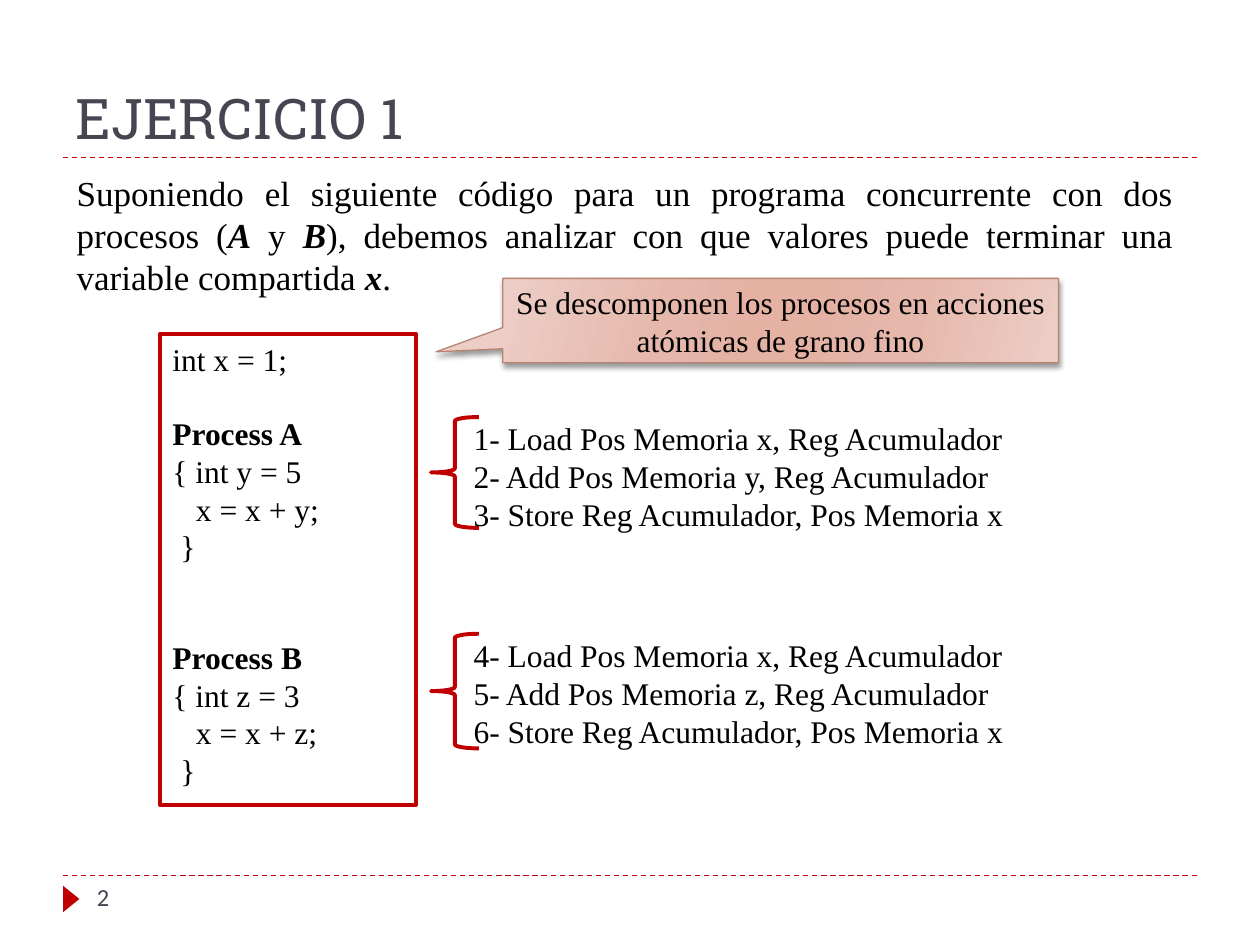
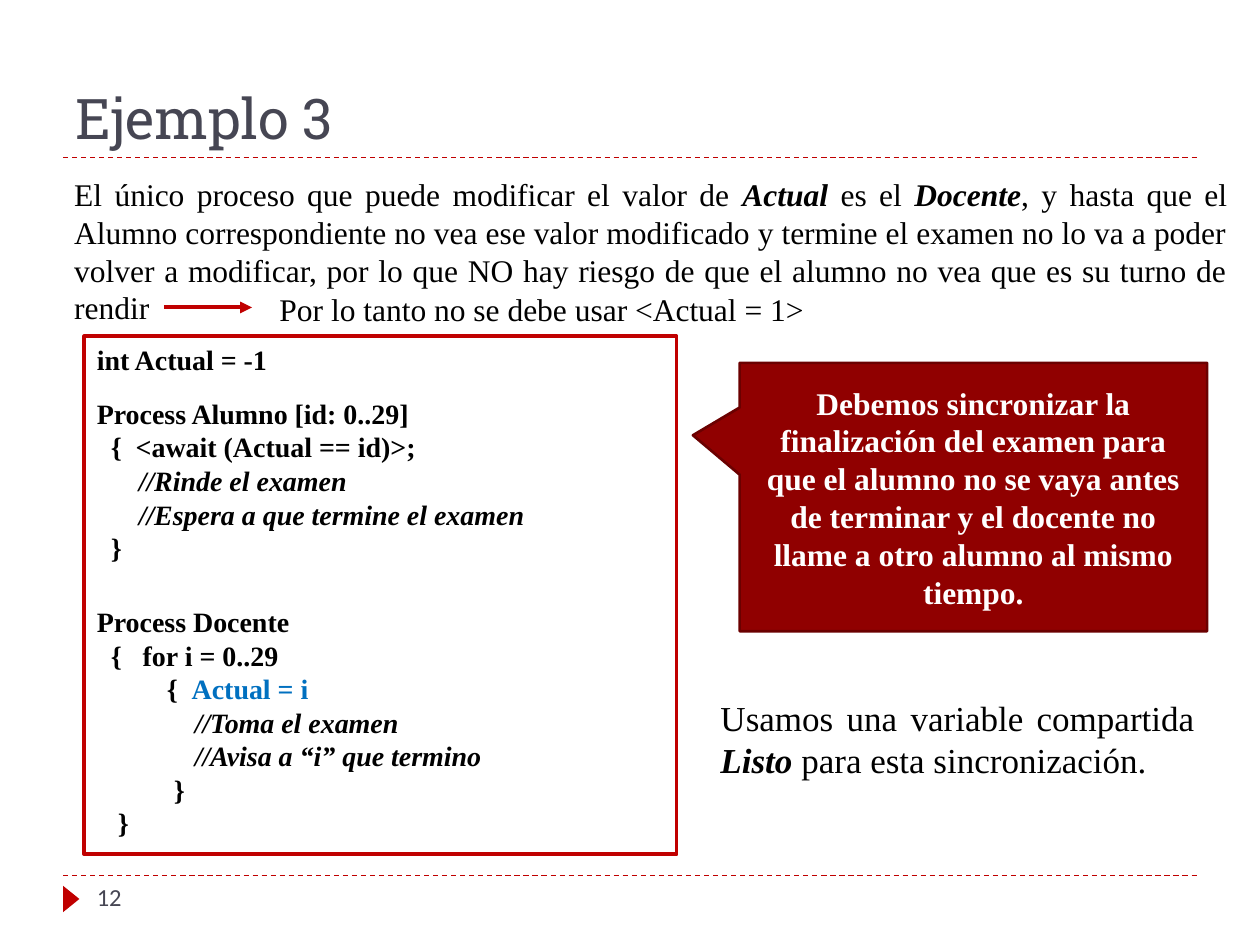
from dataclasses import dataclass

from lxml import etree
from pptx import Presentation
from pptx.dml.color import RGBColor
from pptx.enum.dml import MSO_LINE
from pptx.enum.shapes import MSO_CONNECTOR, MSO_SHAPE
from pptx.enum.text import MSO_ANCHOR, MSO_AUTO_SIZE, PP_ALIGN
from pptx.oxml.ns import qn
from pptx.util import Inches, Pt

RED = RGBColor(0xC0, 0x00, 0x00)
DARK_RED = RGBColor(0x90, 0x00, 0x00)
DEEP_RED = RGBColor(0x6B, 0x00, 0x00)
CLAY = RGBColor(0xB8, 0x84, 0x72)
SLATE = RGBColor(0x46, 0x46, 0x53)
BLUE = RGBColor(0x00, 0x70, 0xC0)
BLACK = RGBColor(0x00, 0x00, 0x00)
WHITE = RGBColor(0xFF, 0xFF, 0xFF)
ROSE_LIGHT = RGBColor(0xEC, 0xCE, 0xC6)
ROSE = RGBColor(0xE6, 0xB8, 0xAC)
ROSE_DEEP = RGBColor(0xE4, 0xB1, 0xA3)
ROSE_STOPS = [(0, ROSE_LIGHT), (30, ROSE), (45, ROSE_DEEP),
              (55, ROSE_DEEP), (73, ROSE), (100, ROSE_LIGHT)]

TITLE_FONT, BODY_FONT, NUMBER_FONT = "Roboto Slab", "Times New Roman", "Calibri"
LEFT, CENTER, JUSTIFY = PP_ALIGN.LEFT, PP_ALIGN.CENTER, PP_ALIGN.JUSTIFY
TOP, MIDDLE, BOTTOM = MSO_ANCHOR.TOP, MSO_ANCHOR.MIDDLE, MSO_ANCHOR.BOTTOM
FIXED_SIZE = MSO_AUTO_SIZE.NONE
STRAIGHT, DASH = MSO_CONNECTOR.STRAIGHT, MSO_LINE.DASH
RECTANGLE, TRIANGLE = MSO_SHAPE.RECTANGLE, MSO_SHAPE.ISOSCELES_TRIANGLE
LEFT_BRACE, CALLOUT = MSO_SHAPE.LEFT_BRACE, MSO_SHAPE.RECTANGULAR_CALLOUT

BOLD = {"bold": True}
ITALIC = {"italic": True}
STRONG = {"bold": True, "italic": True}
SPACE_EM = 0.25
BRACE_EM = 0.39
LINE_EM = 1.15


@dataclass
class Line:
    """A line of text: its runs, indent in spaces, gap above and gap after a brace."""
    runs: list
    indent: int = 0
    before: float = 0
    brace_gap: int = 0


def write_text(shape, lines, font=BODY_FONT, size=18, color=BLACK, bold=False,
               italic=False, align=LEFT, anchor=TOP):
    """Fill a shape with lines, each a string, a list of runs or a Line."""
    frame = shape.text_frame
    frame.word_wrap = True
    frame.auto_size = FIXED_SIZE
    frame.vertical_anchor = anchor
    for index, line in enumerate(lines):
        if not isinstance(line, Line):
            line = Line(line if isinstance(line, list) else [line])
        paragraph = frame.paragraphs[0] if index == 0 else frame.add_paragraph()
        paragraph.alignment = align
        paragraph.space_before = Pt(line.before)
        hanging = size * (BRACE_EM + line.brace_gap * SPACE_EM) if line.brace_gap else 0
        properties = paragraph._p.get_or_add_pPr()
        properties.set("marL", str(Pt(line.indent * size * SPACE_EM + hanging)))
        properties.set("indent", str(-Pt(hanging)))
        for part in line.runs:
            text, changes = (part, {}) if isinstance(part, str) else part
            style = {"bold": bold, "italic": italic, "color": color, **changes}
            run = paragraph.add_run()
            run.text = text
            run.font.name = font
            run.font.size = Pt(size)
            run.font.bold = style["bold"]
            run.font.italic = style["italic"]
            run.font.color.rgb = style["color"]


def add_text(slide, box, lines, **text_format):
    """Add a text box at box (left, top, width, height in inches)."""
    shape = slide.shapes.add_textbox(*map(Inches, box))
    write_text(shape, lines, **text_format)
    return shape


def add_figure(slide, kind, box, fill=None, line=None, width=2.25, adjustments=()):
    """Add a preset shape without shadow."""
    shape = slide.shapes.add_shape(kind, *map(Inches, box))
    shape.shadow.inherit = False
    if fill is None:
        shape.fill.background()
    else:
        shape.fill.solid()
        shape.fill.fore_color.rgb = fill
    if line is None:
        shape.line.fill.background()
    else:
        shape.line.color.rgb = line
        shape.line.width = Pt(width)
    for index, value in enumerate(adjustments):
        shape.adjustments[index] = value
    return shape


def add_rule(slide, left, right, top, width, dashed=False, arrow=False):
    """Add a horizontal red line, dashed or with an arrowhead on request."""
    rule = slide.shapes.add_connector(
        STRAIGHT, Inches(left), Inches(top), Inches(right), Inches(top))
    rule.line.color.rgb = RED
    rule.line.width = Pt(width)
    if dashed:
        rule.line.dash_style = DASH
    if arrow:
        etree.SubElement(rule.line._get_or_add_ln(), qn("a:tailEnd"), type="triangle")
    etree.SubElement(rule._element.spPr, qn("a:effectLst"))
    return rule


def add_color(parent, color):
    """Append an RGB colour element to a fill or effect."""
    return etree.SubElement(parent, qn("a:srgbClr"), val=str(color))


def apply_rose_gradient(shape):
    """Give a shape the slanted rose gradient."""
    shape.fill.gradient()
    shape.fill.gradient_angle = 344
    stops = shape._element.spPr.find(qn("a:gradFill")).find(qn("a:gsLst"))
    for stop in list(stops):
        stops.remove(stop)
    for percent, color in ROSE_STOPS:
        add_color(etree.SubElement(stops, qn("a:gs"), pos=str(percent * 1000)), color)


def apply_drop_shadow(shape):
    """Give a shape a soft shadow below it."""
    effects = shape._element.spPr.find(qn("a:effectLst"))
    shadow = etree.SubElement(effects, qn("a:outerShdw"), blurRad=str(Pt(3)),
                              dist=str(Pt(2)), dir="5400000", rotWithShape="0")
    etree.SubElement(add_color(shadow, BLACK), qn("a:alpha"), val="40000")


def prepare_layout(layout, slide):
    """Put the dashed rules and the footer marker on the shared layout."""
    for placeholder in list(layout.placeholders)[1:]:
        placeholder._element.getparent().remove(placeholder._element)
    frame = [add_rule(slide, 0.5, 9.5, top, 0.75, dashed=True) for top in (6.95, 1.25)]
    marker = add_figure(slide, TRIANGLE, (0.46, 7.07, 0.21, 0.13), fill=RED)
    marker.rotation = 90
    for shape in frame + [marker]:
        layout.shapes._spTree.append(shape._element)


def add_heading(slide, title, number):
    """Write the title and the page number of a slide."""
    heading = slide.shapes.title
    heading.left, heading.top, heading.width, heading.height = map(
        Inches, (0.5, 0.17, 9, 1.08))
    write_text(heading, [title], font=TITLE_FONT, size=32, color=SLATE, anchor=BOTTOM)
    add_text(slide, (0.67, 6.95, 2.17, 0.4), [str(number)],
             font=NUMBER_FONT, size=14, color=SLATE)


def add_code(slide, box, lines, **text_format):
    """Add a red-framed code listing."""
    write_text(add_figure(slide, RECTANGLE, box, line=RED), lines, **text_format)


def add_atomic_actions(slide, box, brace_height, first, variable):
    """Add the numbered atomic actions of one process with their brace."""
    left, top, width, height = box
    add_figure(slide, LEFT_BRACE, (left, top, 0.38, brace_height), line=RED)
    actions = ["Load Pos Memoria x, Reg Acumulador",
               f"Add Pos Memoria {variable}, Reg Acumulador",
               "Store Reg Acumulador, Pos Memoria x"]
    add_text(slide, (left + 0.24, top - 0.03, width - 0.24, height),
             [f"{number}- {action}" for number, action in enumerate(actions, first)])


def process_lines(name, variable, value, blank_lines):
    """Return the listing of one process of the exercise."""
    return [Line([(f"Process {name}", BOLD)], before=18 * LINE_EM * blank_lines),
            f"{{ int {variable} = {value}",
            Line([f"x = x + {variable};"], indent=3),
            Line(["}"], indent=1)]


def build_exercise(slide):
    """Build the exercise with two processes and their atomic actions."""
    add_heading(slide, "EJERCICIO 1", 2)
    add_text(slide, (0.51, 1.31, 8.9, 1.11), [[
        "Suponiendo el siguiente código para un programa concurrente con dos procesos (",
        ("A", STRONG), " y ", ("B", STRONG),
        "), debemos analizar con que valores puede terminar una variable compartida ",
        ("x", STRONG), "."]], size=20, align=JUSTIFY)
    add_code(slide, (1.27, 2.65, 2.03, 3.74),
             ["int x = 1;", *process_lines("A", "y", 5, 1), *process_lines("B", "z", 3, 2)])
    add_atomic_actions(slide, (3.42, 3.31, 4.66, 1.01), 0.88, 1, "y")
    add_atomic_actions(slide, (3.42, 5.03, 4.66, 1.01), 0.91, 4, "z")
    callout = add_figure(slide, CALLOUT, (3.99, 2.21, 4.41, 0.67), fill=ROSE, line=CLAY,
                         width=0.75, adjustments=(-0.62, 0.37))
    apply_rose_gradient(callout)
    apply_drop_shadow(callout)
    write_text(callout, ["Se descomponen los procesos en acciones atómicas de grano fino"],
               align=CENTER, anchor=MIDDLE)


def build_example(slide):
    """Build the example of the teacher and the students."""
    add_heading(slide, "Ejemplo 3", 12)
    gap = 10 * LINE_EM
    add_code(slide, (0.67, 2.67, 4.7, 4.11), [
        "int Actual = -1",
        Line(["Process Alumno [id: 0..29]"], before=gap),
        Line(["{\t<await (Actual == id)>;"], indent=2, brace_gap=2),
        Line([("//Rinde el examen", ITALIC)], indent=6),
        Line([("//Espera a que termine el examen", ITALIC)], indent=6),
        Line(["}"], indent=2),
        Line(["Process Docente"], before=2 * gap),
        Line(["{\tfor i = 0..29"], indent=2, brace_gap=3),
        Line(["{\t", ("Actual = i", {"color": BLUE})], indent=10, brace_gap=2),
        Line([("//Toma el examen", ITALIC)], indent=14),
        Line([("//Avisa a “i” que termino", ITALIC)], indent=14),
        Line(["}"], indent=11),
        Line(["}"], indent=3)], size=16, bold=True)
    add_text(slide, (0.49, 1.34, 9.35, 1.31), [[
        "El único proceso que puede modificar el valor de ", ("Actual", STRONG),
        " es el ", ("Docente", STRONG),
        ", y hasta que el Alumno correspondiente no vea ese valor modificado y termine "
        "el examen no lo va a poder volver a modificar, por lo que NO hay riesgo de que "
        "el alumno no vea que es su turno de rendir"]], align=JUSTIFY)
    add_text(slide, (2.12, 2.25, 5.5, 0.4),
             ["Por lo tanto no se debe usar <Actual = 1>"], align=JUSTIFY)
    add_rule(slide, 1.3, 2, 2.44, 2.25, arrow=True)
    callout = add_figure(slide, CALLOUT, (5.87, 2.88, 3.71, 2.13), fill=DARK_RED,
                         line=DEEP_RED, width=1.5, adjustments=(-0.6, -0.23))
    write_text(callout, [
        "Debemos sincronizar la finalización del examen para que el alumno no se vaya "
        "antes de terminar y el docente no llame a otro alumno al mismo tiempo."],
        color=WHITE, bold=True, align=CENTER, anchor=MIDDLE)
    add_text(slide, (5.62, 5.48, 3.96, 0.77), [[
        "Usamos una variable compartida ", ("Listo", STRONG),
        " para esta sincronización."]], size=20, align=JUSTIFY)


def main():
    """Build and save the presentation."""
    presentation = Presentation()
    presentation.slide_width, presentation.slide_height = Inches(10), Inches(7.5)
    layout = presentation.slide_layouts[5]
    exercise, example = [presentation.slides.add_slide(layout) for _ in range(2)]
    prepare_layout(layout, exercise)
    build_exercise(exercise)
    build_example(example)
    presentation.save("out.pptx")


if __name__ == "__main__":
    main()
